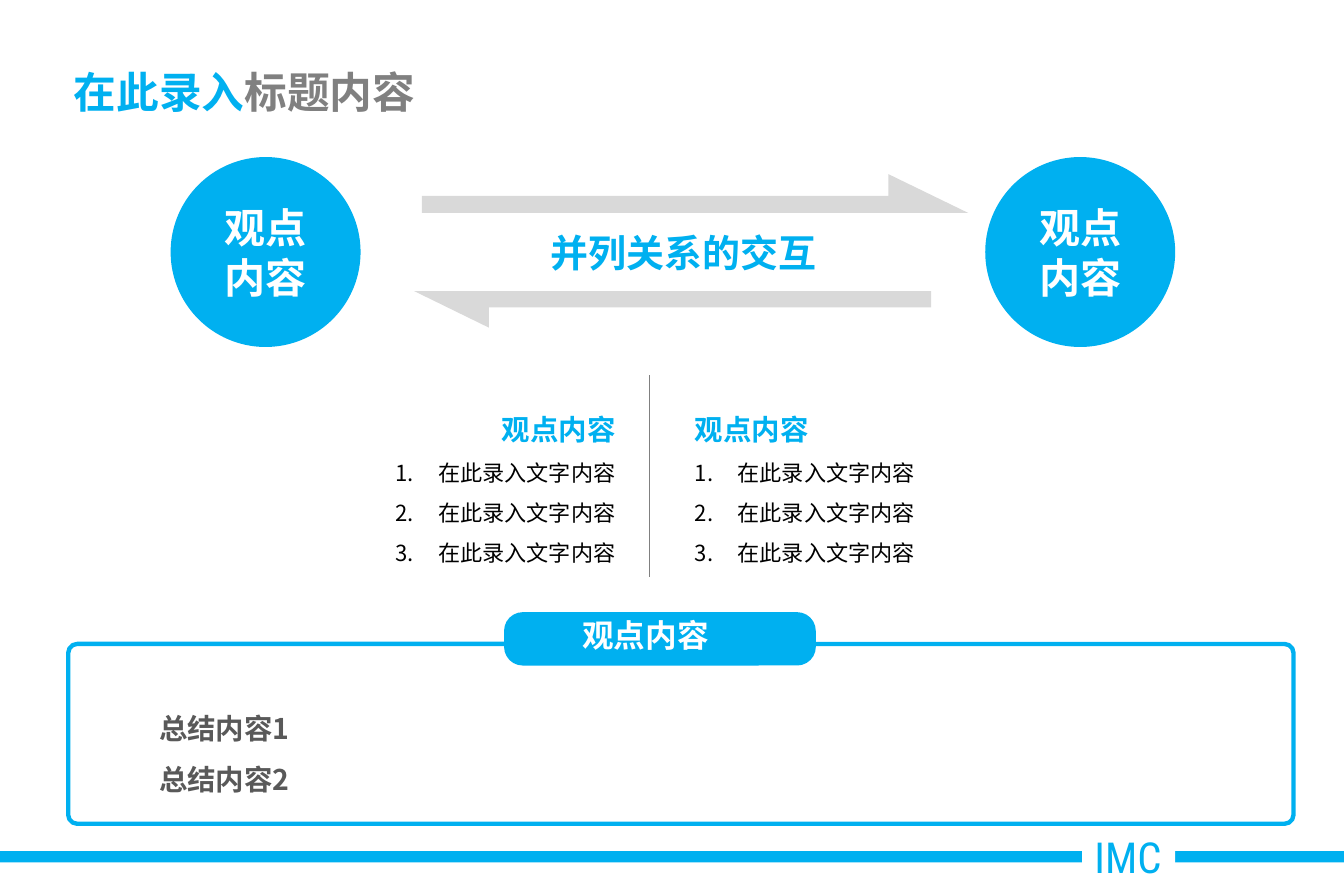
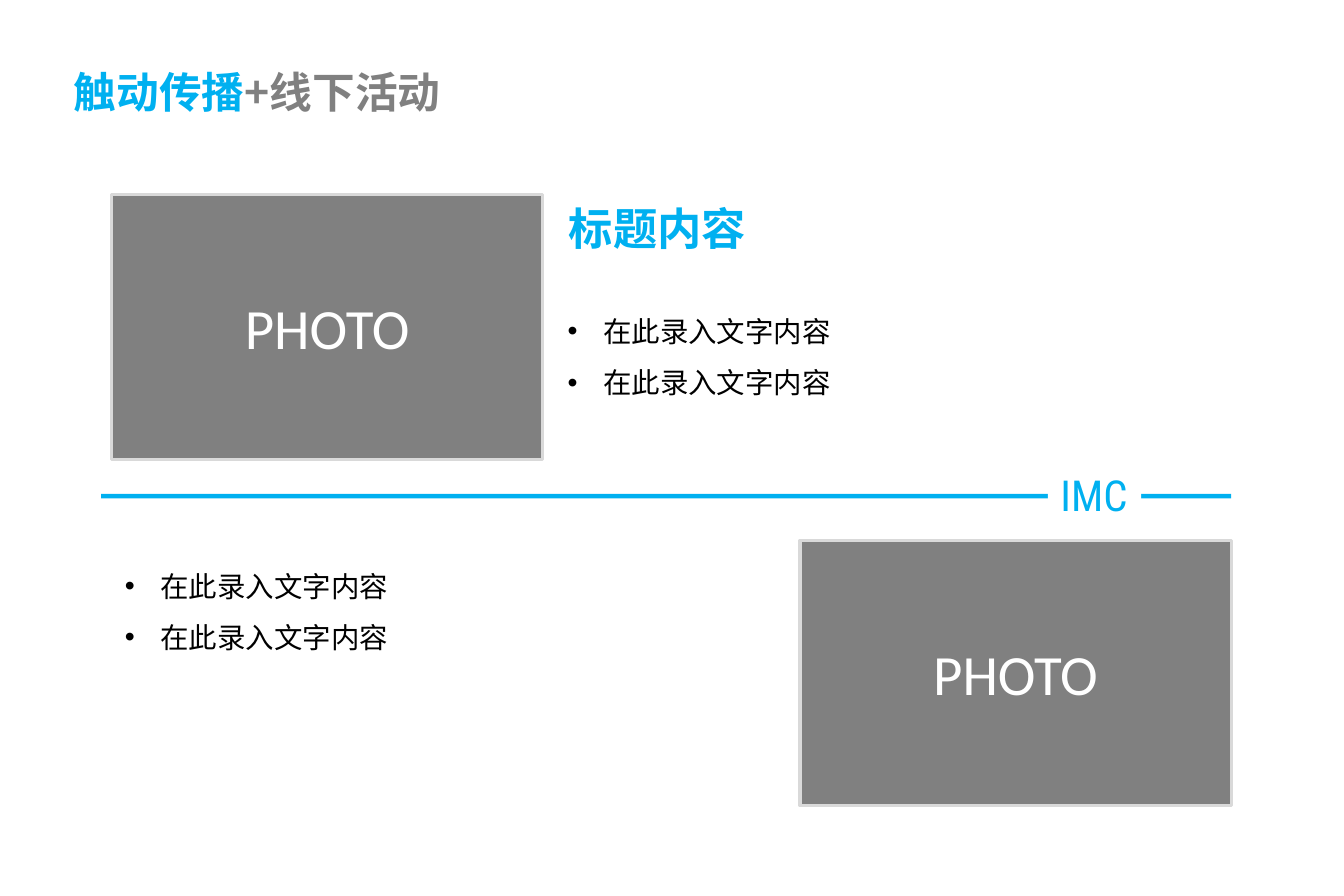
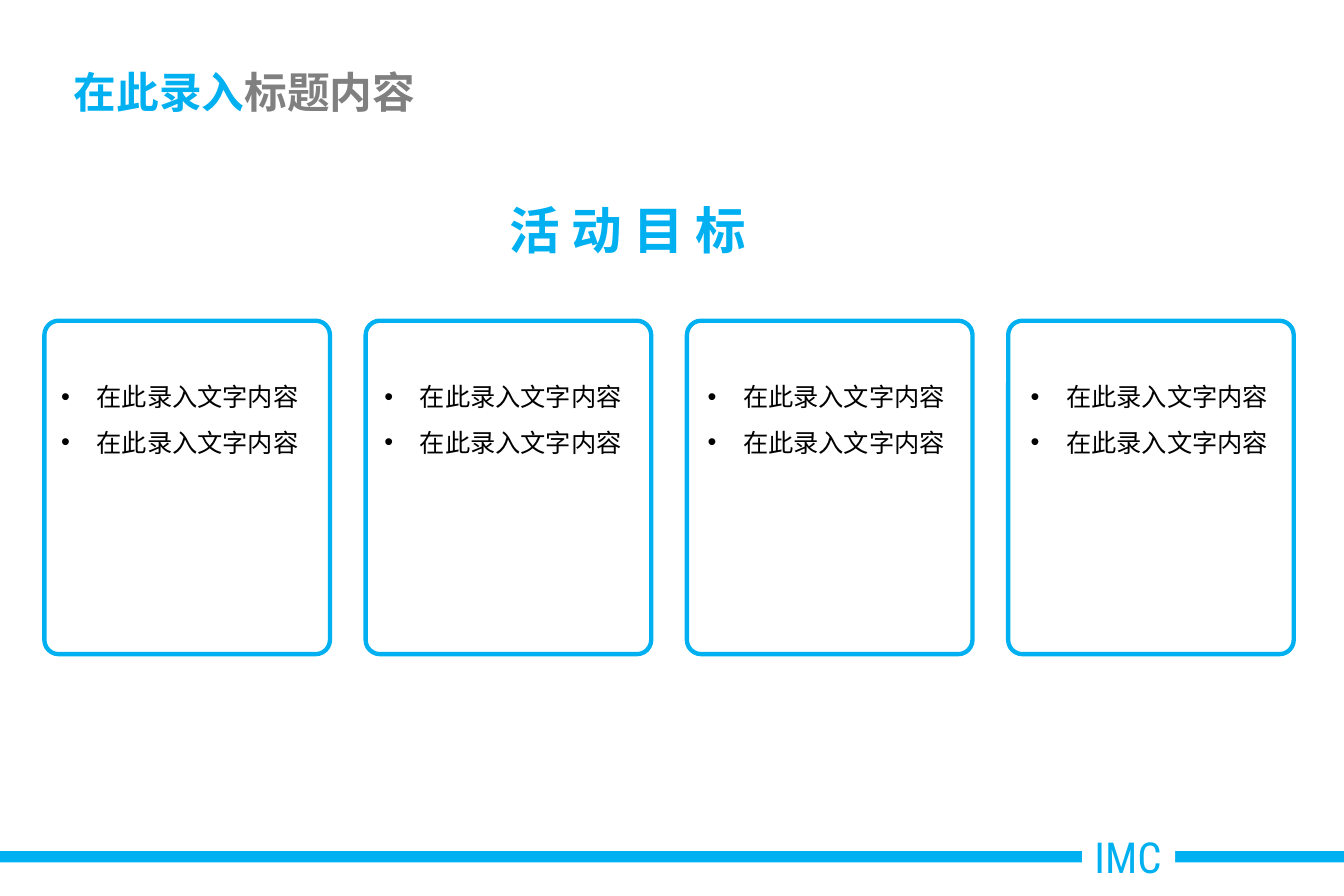
from lxml.etree import SubElement
from pptx import Presentation
from pptx.dml.color import RGBColor
from pptx.enum.shapes import MSO_CONNECTOR, MSO_SHAPE as SHAPE
from pptx.enum.text import MSO_ANCHOR as ANCHOR, MSO_AUTO_SIZE as FIT, PP_ALIGN as ALIGN
from pptx.oxml.ns import qn
from pptx.util import Pt

hue = RGBColor.from_string
BLUE, GRAY, PALE, WHITE, BLACK = "00B0F0", "808080", "D9D9D9", "FFFFFF", "000000"
DARK = "595959"
SANS = "Noto Sans CJK SC"
ITEM = "在此录入文字内容"
VIEW = "观点内容"
WIDE, HIGH = 850.5, 567
PAD = (7.9, 4.3)


def put(slide, kind, box, fill=None, line=None, adj=None, anchor=ANCHOR.TOP,
        pad=(7.2, 3.6), wrap=True, fit=FIT.NONE):
    """Add a shape, or a text box if kind is None; line is (colour, width)."""
    at = [Pt(n) for n in box]
    if kind is None:
        shape = slide.shapes.add_textbox(*at)
    else:
        shape = slide.shapes.add_shape(kind, *at)
        shape.shadow.inherit = False
        if fill:
            shape.fill.solid()
            shape.fill.fore_color.rgb = hue(fill)
        else:
            shape.fill.background()
        if line:
            shape.line.color.rgb = hue(line[0])
            shape.line.width = Pt(line[1])
        else:
            shape.line.fill.background()
        if adj:
            shape.adjustments[0] = adj
    side, end = (Pt(n) for n in pad)
    form = dict(word_wrap=wrap, auto_size=fit, vertical_anchor=anchor,
                margin_left=side, margin_right=side, margin_top=end, margin_bottom=end)
    for key, val in form.items():
        setattr(shape.text_frame, key, val)
    return shape


def write(shape, runs, size, bold=False, name=SANS, mark=None, hang=22.5, **form):
    """Add one paragraph; runs maps text to colour, mark is a bullet or "1."."""
    frame = shape.text_frame
    para = frame.paragraphs[0] if not frame.text else frame.add_paragraph()
    if mark:
        props = para._p.get_or_add_pPr()
        props.set("marL", str(Pt(hang)))
        props.set("indent", str(-Pt(hang)))
        if mark == "1.":
            SubElement(props, qn("a:buAutoNum"), type="arabicPeriod")
        else:
            SubElement(props, qn("a:buFont"), typeface="Arial")
            SubElement(props, qn("a:buChar"), char=mark)
    for key, val in {"alignment": ALIGN.LEFT, **form}.items():
        setattr(para, key, val)
    for text, tint in runs.items():
        run = para.add_run()
        run.text = text
        for key, val in dict(size=Pt(size), bold=bold, name=name).items():
            setattr(run.font, key, val)
        run.font.color.rgb = hue(tint)
        SubElement(run._r.rPr, qn("a:ea"), typeface=name)


deck = Presentation()
deck.slide_width, deck.slide_height = Pt(WIDE), Pt(HIGH)

# Title, bar and tag of every slide
foot = ((0, 538.6, WIDE, 7.2), (684.7, 521.3, 59, 41))
split = ((64.1, 312.5, 715, 3), (663.1, 292.3, 59, 41))
topic = {"在此录入": BLUE, "标题内容": GRAY}
event = {"触动传播": BLUE, "+线下活动": GRAY}
pages = []
for title, (bar, tag) in ((topic, foot), (event, split), (topic, foot)):
    page = deck.slides.add_slide(deck.slide_layouts[6])
    put(page, SHAPE.RECTANGLE, bar, BLUE)
    label = put(page, SHAPE.RECTANGLE, tag, WHITE, pad=PAD, wrap=False,
                fit=FIT.SHAPE_TO_FIT_TEXT)
    write(label, {"IMC": BLUE}, 27, name="Roboto Condensed")
    head = put(page, None, (38.9, 35.3, 765.4, 44.6), anchor=ANCHOR.MIDDLE, pad=PAD)
    write(head, title, 27, True)
    pages.append(page)
swap, photo, goal = pages
grow = dict(fit=FIT.SHAPE_TO_FIT_TEXT)

# Slide 1: two views that interact
for left in (108, 623.5):
    disc = put(swap, SHAPE.OVAL, (left, 99.4, 120.2, 120.2), BLUE, anchor=ANCHOR.MIDDLE)
    for word in ("观点", "内容"):
        write(disc, {word: WHITE}, 26, True, alignment=ALIGN.CENTER)

right = [(267, 124), (267, 134.8), (612.8, 134.8), (562.2, 110.2), (562.2, 124)]
back = [(589.2, 194.5), (589.2, 184.2), (262, 184.2), (309.4, 207.4), (309.4, 194.5)]
for dots in (right, back):
    first, *rest = [(Pt(x), Pt(y)) for x, y in dots]
    pen = swap.shapes.build_freeform(*first)
    pen.add_line_segments(rest, close=True)
    arrow = pen.convert_to_shape()
    arrow.shadow.inherit = False
    arrow.fill.solid()
    arrow.fill.fore_color.rgb = hue(PALE)
    arrow.line.fill.background()

link = put(swap, None, (276.5, 141.8, 311.8, 36), **grow)
write(link, {"并列关系的交互": BLUE}, 24, True, alignment=ALIGN.CENTER)

for left, width, side in ((60.5, 336.2, ALIGN.RIGHT), (432.7, 385.9, ALIGN.LEFT)):
    case = put(swap, None, (left, 244.8, width, 116.6), anchor=ANCHOR.BOTTOM, **grow)
    form = dict(alignment=side, line_spacing=1.5)
    write(case, {VIEW: BLUE}, 18, True, **form)
    for _ in range(3):
        write(case, {ITEM: BLACK}, 14, mark="1.", hang=27, **form)

rule = swap.shapes.add_connector(MSO_CONNECTOR.STRAIGHT, Pt(411), Pt(237.6), Pt(411), Pt(365))
rule.line.color.rgb = hue(GRAY)
rule.line.width = Pt(0.75)
SubElement(rule._element.spPr, qn("a:effectLst"))

put(swap, SHAPE.ROUNDED_RECTANGLE, (43.2, 407.5, 775.4, 113.8), line=(BLUE, 2.75), adj=0.05)
put(swap, SHAPE.ROUNDED_RECTANGLE, (319, 387.4, 197.3, 33.8), BLUE, adj=0.35)
name = put(swap, None, (361.4, 391, 95, 26.6), wrap=False, **grow)
write(name, {VIEW: WHITE}, 20, True, line_spacing=0.8)
total = put(swap, None, (93.6, 435.6, 689.8, 72.7), **grow)
for text in ("总结内容1", "总结内容2"):
    write(total, {text: DARK}, 18, True, line_spacing=1.5)

# Slide 2: photos and notes on either side of the bar
for left, top in ((70.6, 123.1), (506.2, 342)):
    frame = put(photo, SHAPE.RECTANGLE, (left, top, 272.9, 167.8), GRAY, (PALE, 2),
                anchor=ANCHOR.MIDDLE)
    write(frame, {"PHOTO": WHITE}, 36, name="Calibri", alignment=ALIGN.CENTER)
head = put(photo, None, (352.1, 123.1, 452.2, 42.5), pad=PAD, **grow)
write(head, {"标题内容": BLUE}, 28, True)
for box in ((352.1, 184.3, 257.8, 72.7), (72, 345.6, 425.5, 69.1)):
    note = put(photo, None, box, **grow)
    for _ in range(2):
        write(note, {ITEM: BLACK}, 18, mark="•", line_spacing=1.5)

# Slide 3: four goal cards
head = put(goal, None, (315.4, 122.4, 182.2, 46.1), wrap=False, **grow)
write(head, {"活 动 目 标": BLUE}, 32, True)
for col in range(4):
    put(goal, SHAPE.ROUNDED_RECTANGLE, (28.1 + 203.3 * col, 203, 180.7, 211),
        line=(BLUE, 2.75), adj=0.05)
    note = put(goal, None, (31.7 + 204.5 * col, 228.2, 169.9, 190.1))
    for _ in range(2):
        write(note, {ITEM: BLACK}, 16, mark="•", line_spacing=1.5)

deck.save("out.pptx")
